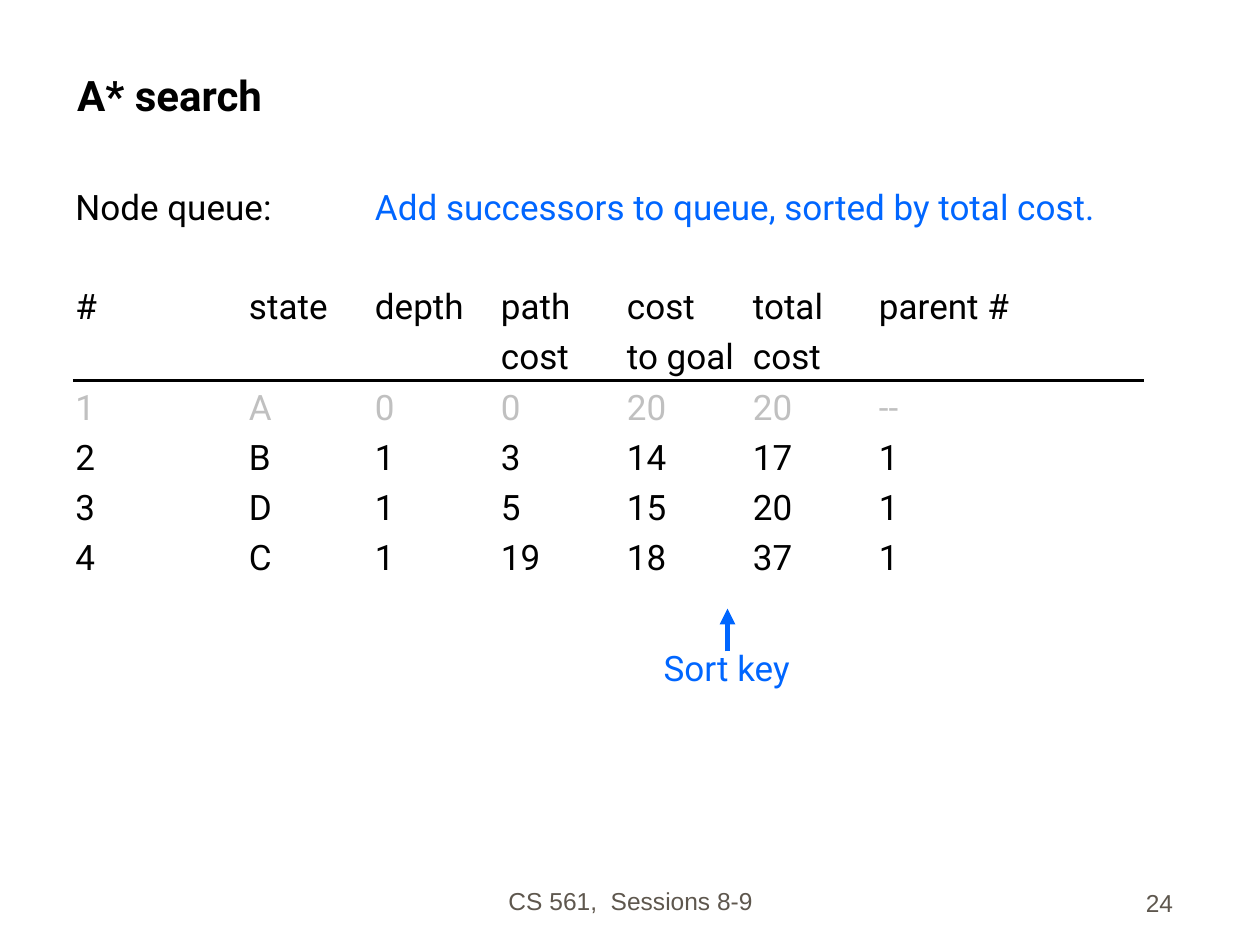
from lxml import etree
from pptx import Presentation
from pptx.dml.color import RGBColor
from pptx.enum.shapes import MSO_CONNECTOR
from pptx.enum.text import MSO_ANCHOR, PP_ALIGN
from pptx.oxml.ns import qn
from pptx.util import Cm, Pt

STRAIGHT = MSO_CONNECTOR.STRAIGHT
TOP, BOTTOM = MSO_ANCHOR.TOP, MSO_ANCHOR.BOTTOM
LEFT, CENTER, RIGHT = PP_ALIGN.LEFT, PP_ALIGN.CENTER, PP_ALIGN.RIGHT

BLACK, BLUE, GREY, BROWN = "000000", "0066FF", "C0C0C0", "5E574E"
FIRST_TAB, TAB_STEP, TAB_COUNT = 3.5, 2.54, 6
ROW_GAP, SECTION_GAP = 4.7, 32.8

QUEUE = [
    (["#", "state", "depth", "path", "cost", "total", "parent #"], BLACK),
    (["", "", "", "cost", "to goal", "cost"], BLACK),
    (["1", "A", "0", "0", "20", "20", "--"], GREY),
    (["2", "B", "1", "3", "14", "17", "1"], BLACK),
    (["3", "D", "1", "5", "15", "20", "1"], BLACK),
    (["4", "C", "1", "19", "18", "37", "1"], BLACK),
]


def rgb(value):
    return RGBColor.from_string(value)


def add_text(p, text, size=20, color=BLACK, font="Roboto", bold=False,
             align=LEFT, before=0):
    p.alignment = align
    p.space_before = Pt(before)
    r = p.add_run()
    r.text = text
    r.font.name, r.font.size, r.font.bold = font, Pt(size), bold
    r.font.color.rgb = rgb(color)


def add_box(slide, left, top, width, height, anchor=TOP, wrap=True):
    sp = slide.shapes.add_textbox(Cm(left), Cm(top), Cm(width), Cm(height))
    tf = sp.text_frame
    tf.word_wrap, tf.vertical_anchor = wrap, anchor
    return tf


def add_line(slide, x1, y1, x2, y2, color, width, arrow=False):
    line = slide.shapes.add_connector(STRAIGHT, Cm(x1), Cm(y1), Cm(x2), Cm(y2))
    line.line.color.rgb = rgb(color)
    line.line.width = Pt(width)
    if arrow:
        ln = line.line._get_or_add_ln()
        etree.SubElement(ln, qn("a:tailEnd"), type="triangle")
    etree.SubElement(line._element.spPr, qn("a:effectLst"))


def set_tabs(p):
    tabs = etree.SubElement(p._p.get_or_add_pPr(), qn("a:tabLst"))
    for i in range(TAB_COUNT):
        pos = Cm(FIRST_TAB + i * TAB_STEP)
        etree.SubElement(tabs, qn("a:tab"), pos=str(int(pos)), algn="l")


def build_title(slide, left, top, width, height):
    sp = slide.shapes.title
    sp.left, sp.top, sp.width, sp.height = map(Cm, (left, top, width, height))
    tf = sp.text_frame
    tf.word_wrap, tf.vertical_anchor = True, BOTTOM
    add_text(tf.paragraphs[0], "A* search", size=24, bold=True)


def build_queue(slide, left, top, width, height):
    """Lay out the node queue in tabbed columns with a rule under its header."""
    tf = add_box(slide, left, top, width, height)
    p = tf.paragraphs[0]
    add_text(p, "Node queue:\t")
    add_text(p, "Add successors to queue, sorted by total cost.", color=BLUE)
    set_tabs(p)
    for i, (cells, color) in enumerate(QUEUE):
        p = tf.add_paragraph()
        add_text(p, "\t".join(cells), color=color,
                 before=ROW_GAP if i else SECTION_GAP)
        set_tabs(p)
    rule_y = top + 4.06
    add_line(slide, left + 0.2, rule_y, left + 21.79, rule_y, BLACK, 2.25)


def build_sort_key(slide, left, top, width, height):
    """Place an upward arrow with its label at the foot of the box."""
    label_height = 1.09
    middle = left + width / 2
    add_line(slide, middle, top + 0.86, middle, top, BLUE, 3, arrow=True)
    tf = add_box(slide, left, top + height - label_height, width, label_height,
                 wrap=False)
    add_text(tf.paragraphs[0], "Sort key", color=BLUE)


def build_footer(slide, left, top, width, height, text, align):
    tf = add_box(slide, left, top, width, height, anchor=BOTTOM)
    add_text(tf.paragraphs[0], text, size=14, color=BROWN, font="Arial",
             align=align)


def main():
    prs = Presentation()
    prs.slide_width, prs.slide_height = Cm(25.4), Cm(19.05)
    slide = prs.slides.add_slide(prs.slide_layouts.get_by_name("Title Only"))
    build_footer(slide, 8.69, 17.3, 8.05, 1.27, "CS 561,  Sessions 8-9", CENTER)
    build_footer(slide, 18.62, 17.35, 5.28, 1.27, "24", RIGHT)
    build_title(slide, 1.3, 0.64, 22.66, 1.9)
    build_queue(slide, 1.27, 3.61, 22.71, 13.97)
    build_sort_key(slide, 13.13, 12.27, 3.07, 1.72)
    prs.save("out.pptx")


if __name__ == "__main__":
    main()
